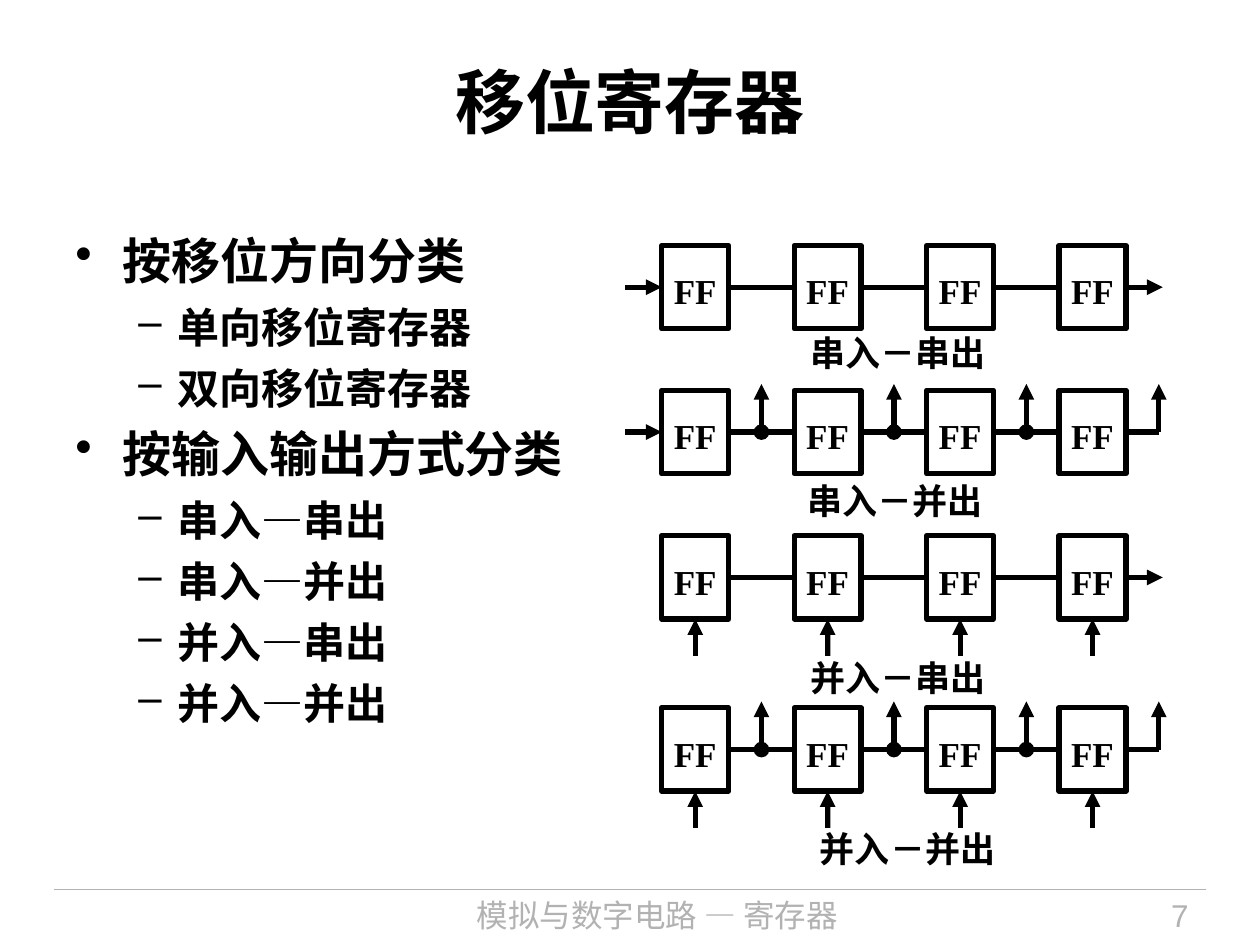
"""Build the slide on shift registers with four flip-flop chain diagrams."""
import pptx
import pptx.dml.color
import pptx.enum.shapes
import pptx.enum.text
import pptx.oxml
import pptx.oxml.ns
import pptx.util
from pptx.util import Cm, Pt

BLACK = pptx.dml.color.RGBColor(0x00, 0x00, 0x00)
GRAY = pptx.dml.color.RGBColor(0xB2, 0xB2, 0xB2)
ALIGN = pptx.enum.text.PP_ALIGN
SERIF = "Times New Roman"
BOX_LEFT, BOX_WIDTH, BOX_HEIGHT, PITCH = 13.34, 1.35, 1.68, 2.67
WIRE = 0.74

presentation = pptx.Presentation()
presentation.slide_width = Cm(25.4)
presentation.slide_height = Cm(19.05)
slide = presentation.slides.add_slide(presentation.slide_layouts[5])


def add_line(x1, y1, x2, y2, color=BLACK, width=3, **ends):
    connector = slide.shapes.add_connector(
        pptx.enum.shapes.MSO_CONNECTOR.STRAIGHT, Cm(x1), Cm(y1), Cm(x2), Cm(y2))
    connector.line.color.rgb = color
    connector.line.width = Pt(width)
    properties = connector._element.spPr
    outline = properties.find(pptx.oxml.ns.qn("a:ln"))
    for end, kind in ends.items():
        pptx.oxml.ns.qn("a:ln")
        outline.append(pptx.oxml.parse_xml(
            f'<a:{end} {pptx.oxml.ns.nsdecls("a")} type="{kind}"/>'))
    properties.append(pptx.oxml.parse_xml(
        f'<a:effectLst {pptx.oxml.ns.nsdecls("a")}/>'))
    return connector


def add_text(text, left, top, width, height, font, size, color, align):
    shape = slide.shapes.add_textbox(Cm(left), Cm(top), Cm(width), Cm(height))
    shape.text_frame.word_wrap = True
    paragraph = shape.text_frame.paragraphs[0]
    paragraph.text = text
    paragraph.alignment = align
    paragraph.font.name = font
    paragraph.font.size = Pt(size)
    paragraph.font.color.rgb = color
    return shape


title = slide.shapes.title
title.left, title.top, title.width, title.height = Cm(1.27), Cm(0.43), Cm(22.86), Cm(3.18)
title.text_frame.text = "移位寄存器"
title.text_frame.vertical_anchor = pptx.enum.text.MSO_ANCHOR.MIDDLE
paragraph = title.text_frame.paragraphs[0]
paragraph.alignment = ALIGN.CENTER
paragraph.font.name = SERIF
paragraph.font.size = Pt(40)
paragraph.font.bold = True
paragraph.font.color.rgb = BLACK

add_line(1.09, 17.93, 24.31, 17.93, GRAY, 0.75)
add_text("模拟与数字电路 — 寄存器", 6.1, 17.93, 14.3, 1.12,
         "Noto Sans CJK SC", 18, GRAY, ALIGN.CENTER)
add_text("7", 20.83, 17.93, 3.38, 1.12, "Arial", 18, GRAY, ALIGN.RIGHT)

outline_items = [
    (0, "按移位方向分类"), (1, "单向移位寄存器"), (1, "双向移位寄存器"),
    (0, "按输入输出方式分类"), (1, "串入—串出"), (1, "串入—并出"),
    (1, "并入—串出"), (1, "并入—并出"),
]
level_styles = [("•", 0.95, 0.95, 28, 7), ("–", 2.06, 0.79, 24, 6)]
body = slide.shapes.add_textbox(Cm(1.27), Cm(4.52), Cm(11.02), Cm(13.41))
body.text_frame.word_wrap = True
for index, (level, text) in enumerate(outline_items):
    bullet, margin, hanging, size, space = level_styles[level]
    paragraph = body.text_frame.paragraphs[0] if index == 0 else body.text_frame.add_paragraph()
    paragraph.text = text
    paragraph.level = level
    paragraph.space_after = Pt(space)
    properties = paragraph._p.get_or_add_pPr()
    properties.set("marL", str(Cm(margin)))
    properties.set("indent", str(-Cm(hanging)))
    properties.append(pptx.oxml.parse_xml(
        f'<a:buChar {pptx.oxml.ns.nsdecls("a")} char="{bullet}"/>'))
    paragraph.font.name = SERIF
    paragraph.font.size = Pt(size)
    paragraph.font.bold = True
    paragraph.font.color.rgb = BLACK

registers = [
    ("串入－串出", 4.95, 16.08, 6.55, True, False),
    ("串入－并出", 7.87, 16.03, 9.55, True, True),
    ("并入－串出", 10.8, 16.08, 13.11, False, False),
    ("并入－并出", 14.27, 16.28, 16.56, False, True),
]
for caption, top, caption_left, caption_top, serial_in, parallel_out in registers:
    middle = top + BOX_HEIGHT / 2
    bottom = top + BOX_HEIGHT
    tap_top = top - 0.13
    chain_end = BOX_LEFT + 3 * PITCH + BOX_WIDTH
    flip_flops = []
    for column in range(4):
        left = BOX_LEFT + column * PITCH
        shape = slide.shapes.add_shape(
            pptx.enum.shapes.MSO_SHAPE.RECTANGLE,
            Cm(left), Cm(top), Cm(BOX_WIDTH), Cm(BOX_HEIGHT))
        shape.shadow.inherit = False
        shape.fill.background()
        shape.line.color.rgb = BLACK
        shape.line.width = Pt(3)
        frame = shape.text_frame
        frame.word_wrap = False
        frame.margin_left = frame.margin_right = frame.margin_bottom = 0
        frame.margin_top = Cm(0.15)
        paragraph = frame.paragraphs[0]
        paragraph.text = "FF"
        paragraph.alignment = ALIGN.CENTER
        paragraph.font.name = SERIF
        paragraph.font.size = Pt(20)
        paragraph.font.bold = True
        paragraph.font.color.rgb = BLACK
        flip_flops.append(shape)
        if not serial_in:
            center = left + BOX_WIDTH / 2
            arrow = add_line(center, bottom + WIRE, center, bottom, tailEnd="triangle")
            arrow.end_connect(shape, 2)

    for column in range(3):
        wire_start = BOX_LEFT + column * PITCH + BOX_WIDTH
        wire = add_line(wire_start, middle, wire_start + PITCH - BOX_WIDTH, middle)
        wire.begin_connect(flip_flops[column], 3)
        wire.end_connect(flip_flops[column + 1], 1)
        if parallel_out:
            tap = wire_start + (PITCH - BOX_WIDTH) / 2
            add_line(tap, middle, tap, tap_top, headEnd="oval", tailEnd="triangle")

    if serial_in:
        arrow = add_line(BOX_LEFT - WIRE, middle, BOX_LEFT, middle, tailEnd="triangle")
        arrow.end_connect(flip_flops[0], 1)
    if parallel_out:
        corner = chain_end + 0.66
        output = add_line(chain_end, middle, corner, middle)
        add_line(corner, middle, corner, tap_top, tailEnd="triangle")
    else:
        output = add_line(chain_end, middle, chain_end + WIRE, middle, tailEnd="triangle")
    output.begin_connect(flip_flops[3], 3)

    label = add_text(caption, caption_left, caption_top, 4.4, 1.12,
                     SERIF, 20, BLACK, ALIGN.LEFT)
    label.text_frame.paragraphs[0].font.bold = True

presentation.save("out.pptx")
